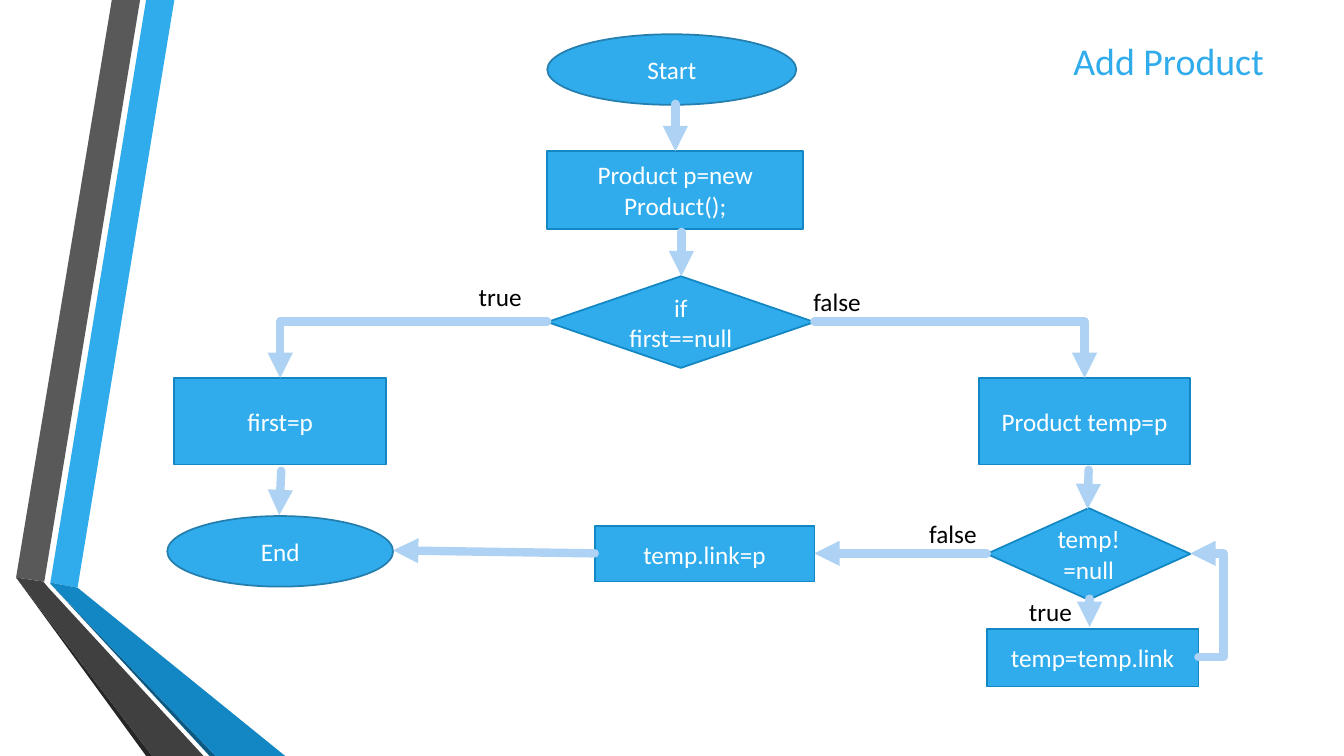
from lxml.etree import SubElement
from pptx import Presentation
from pptx.dml.color import RGBColor
from pptx.enum.shapes import MSO_CONNECTOR as Connector, MSO_SHAPE as Shape
from pptx.enum.text import MSO_ANCHOR as Anchor, PP_ALIGN as Align
from pptx.oxml.ns import qn
from pptx.util import Emu, Pt

PX = 9144  # EMU per px, 100 px to the inch
WIDTH, HEIGHT = Emu(12192000), Emu(6858000)

BLUE = RGBColor(0x30, 0xAC, 0xEC)
MID_BLUE = RGBColor(0x12, 0x87, 0xC3)
DEEP_BLUE = RGBColor(0x0C, 0x5A, 0x82)
OVAL_EDGE = RGBColor(0x24, 0x7F, 0xAF)
PALE_BLUE = RGBColor(0xAE, 0xD2, 0xF4)
GREY = RGBColor(0x59, 0x59, 0x59)
DARK_GREY = RGBColor(0x40, 0x40, 0x40)
CHARCOAL = RGBColor(0x26, 0x26, 0x26)
WHITE = RGBColor(0xFF, 0xFF, 0xFF)
BLACK = RGBColor(0, 0, 0)


class FlowSlide:
    """Holds the style and the slide being drawn."""

    font = {"name": "Calibri", "size": Pt(18)}
    edge_width = Pt(1.25)
    arrow_width = Pt(6)

    def __init__(self, presentation):
        self.slide = presentation.slides.add_slide(presentation.slide_layouts[6])
        self.shapes = self.slide.shapes

    def set_text(self, frame, text, color, align, **changes):
        frame.word_wrap = True
        frame.text = text
        for paragraph in frame.paragraphs:
            paragraph.alignment = align
            for name, value in {**self.font, **changes}.items():
                setattr(paragraph.font, name, value)
            paragraph.font.color.rgb = color

    def band(self, color, start, *points):
        builder = self.shapes.build_freeform(*start, scale=PX)
        builder.add_line_segments(points, close=True)
        shape = builder.convert_to_shape()
        shape.shadow.inherit = False
        shape.fill.solid()
        shape.fill.fore_color.rgb = color
        shape.line.fill.background()

    def node(self, kind, text, *box):
        shape = self.shapes.add_shape(kind, *(Emu(n * PX) for n in box))
        shape.shadow.inherit = False
        shape.fill.solid()
        shape.fill.fore_color.rgb = BLUE
        shape.line.color.rgb = OVAL_EDGE if kind == Shape.OVAL else MID_BLUE
        shape.line.width = self.edge_width
        shape.text_frame.vertical_anchor = Anchor.MIDDLE
        self.set_text(shape.text_frame, text, WHITE, Align.CENTER)

    def label(self, text, *box, color=BLACK, **changes):
        shape = self.shapes.add_textbox(*(Emu(n * PX) for n in box))
        self.set_text(shape.text_frame, text, color, Align.LEFT, **changes)

    def arrow(self, *ends, kind=Connector.STRAIGHT):
        connector = self.shapes.add_connector(kind, *(Emu(n * PX) for n in ends))
        connector.line.color.rgb = PALE_BLUE
        connector.line.width = self.arrow_width
        properties = connector._element.spPr
        line = properties.find(qn("a:ln"))
        line.set("cap", "rnd")
        SubElement(line, qn("a:round"))
        SubElement(line, qn("a:tailEnd"), type="triangle")
        SubElement(properties, qn("a:effectLst"))
        return properties.find(qn("a:prstGeom"))

    def corner_arrow(self, *ends):
        """One bend: across, then down."""
        self.arrow(*ends, kind=Connector.ELBOW).set("prst", "bentConnector2")

    def loop_arrow(self, *ends, bend):
        """Two bends; bend is the turning point as a share of the width."""
        geometry = self.arrow(*ends, kind=Connector.ELBOW)
        guides = geometry.find(qn("a:avLst"))
        if guides is None:
            guides = SubElement(geometry, qn("a:avLst"))
        SubElement(guides, qn("a:gd"), name="adj1", fmla=f"val {round(bend * 100000)}")


def main():
    presentation = Presentation()
    presentation.slide_width, presentation.slide_height = WIDTH, HEIGHT
    flow = FlowSlide(presentation)

    # Folded bands on the left
    flow.band(BLUE, (50, 578), (77, 583), (173, 0), (145, 0))
    flow.band(GREY, (139, 0), (111, 0), (16, 573), (44, 577))
    flow.band(CHARCOAL, (16, 573), (145, 750), (151, 750))
    flow.band(DEEP_BLUE, (50, 579), (208, 750), (214, 750))
    flow.band(MID_BLUE, (50, 579), (214, 750), (283, 750), (77, 583), (50, 578))
    flow.band(DARK_GREY, (202, 750), (48, 583), (43, 577), (16, 573), (151, 750))

    # Title
    flow.label("Add Product", 1055, 32, 242, 71, color=BLUE, size=Pt(27))

    # Steps and decisions
    for kind, text, *box in (
        (Shape.OVAL, "Start", 543, 34, 247, 70),
        (Shape.RECTANGLE, "Product p=new Product();", 543, 150, 254, 77),
        (Shape.DIAMOND, "if\nfirst==null", 543, 274, 265, 91),
        (Shape.RECTANGLE, "first=p", 173, 375, 210, 86),
        (Shape.RECTANGLE, "Product temp=p", 971, 375, 210, 86),
        (Shape.DIAMOND, "temp!=null", 979, 504, 202, 91),
        (Shape.RECTANGLE, "temp=temp.link", 979, 624, 210, 57),
        (Shape.OVAL, "End", 166, 512, 224, 70),
        (Shape.RECTANGLE, "temp.link=p", 590, 522, 218, 55),
    ):
        flow.node(kind, text, *box)

    # Straight arrows
    for ends in (
        (670, 103, 670, 150),
        (676, 230, 676, 274),
        (1080, 466, 1079, 505),
        (1081, 594, 1081, 622),
        (979, 549, 808, 549),
        (279, 467, 277, 511),
        (590, 549, 390, 546),
    ):
        flow.arrow(*ends)

    # Branches and the loop back
    flow.corner_arrow(543, 319, 278, 375)
    flow.corner_arrow(808, 319, 1076, 375)
    flow.loop_arrow(1189, 652, 1181, 549, bend=-3.13)

    # Branch labels
    for text, left, top in (
        ("true", 465, 274),
        ("true", 1011, 587),
        ("false", 797, 279),
        ("false", 912, 509),
    ):
        flow.label(text, left, top, 98, 40)

    presentation.save("out.pptx")


if __name__ == "__main__":
    main()
